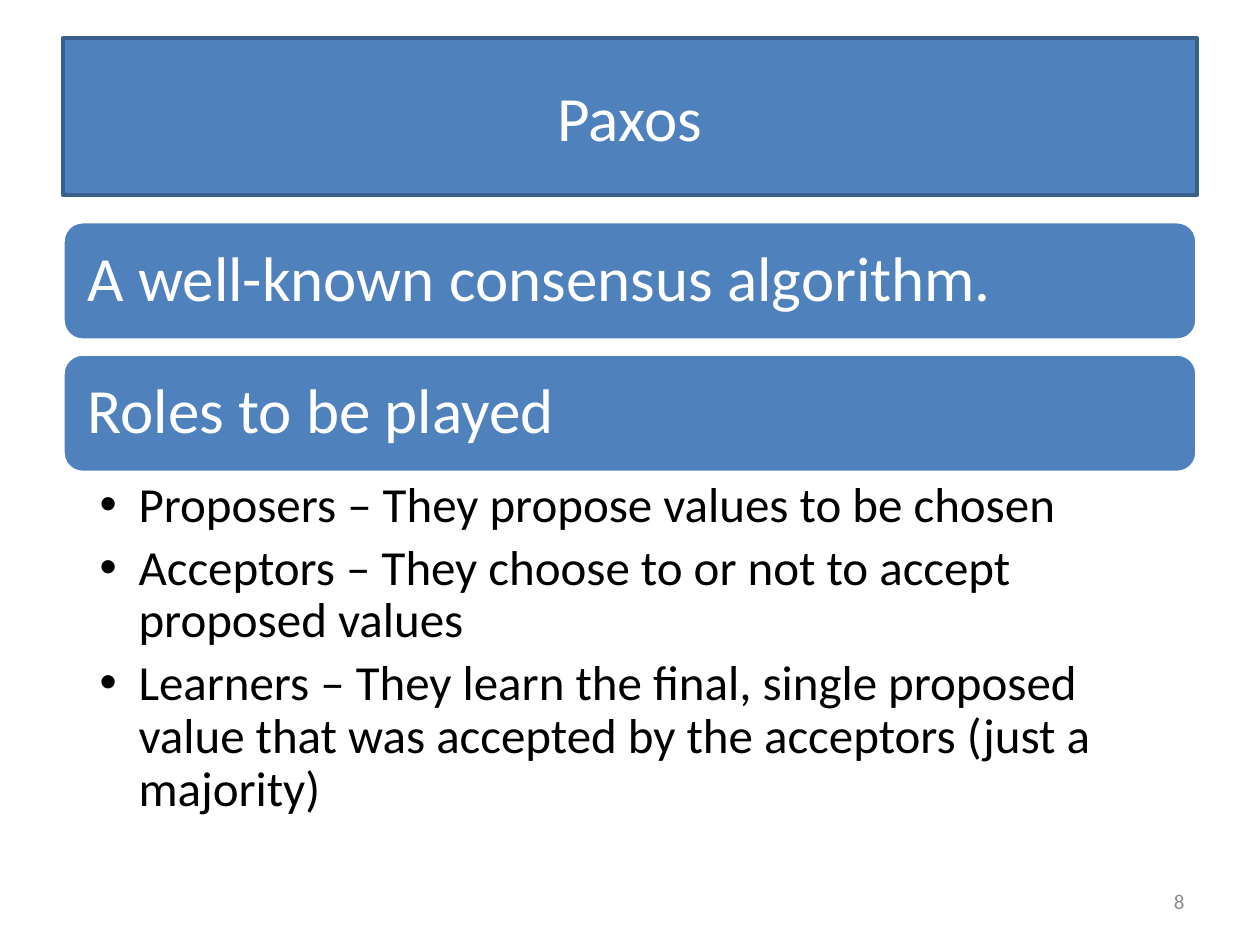
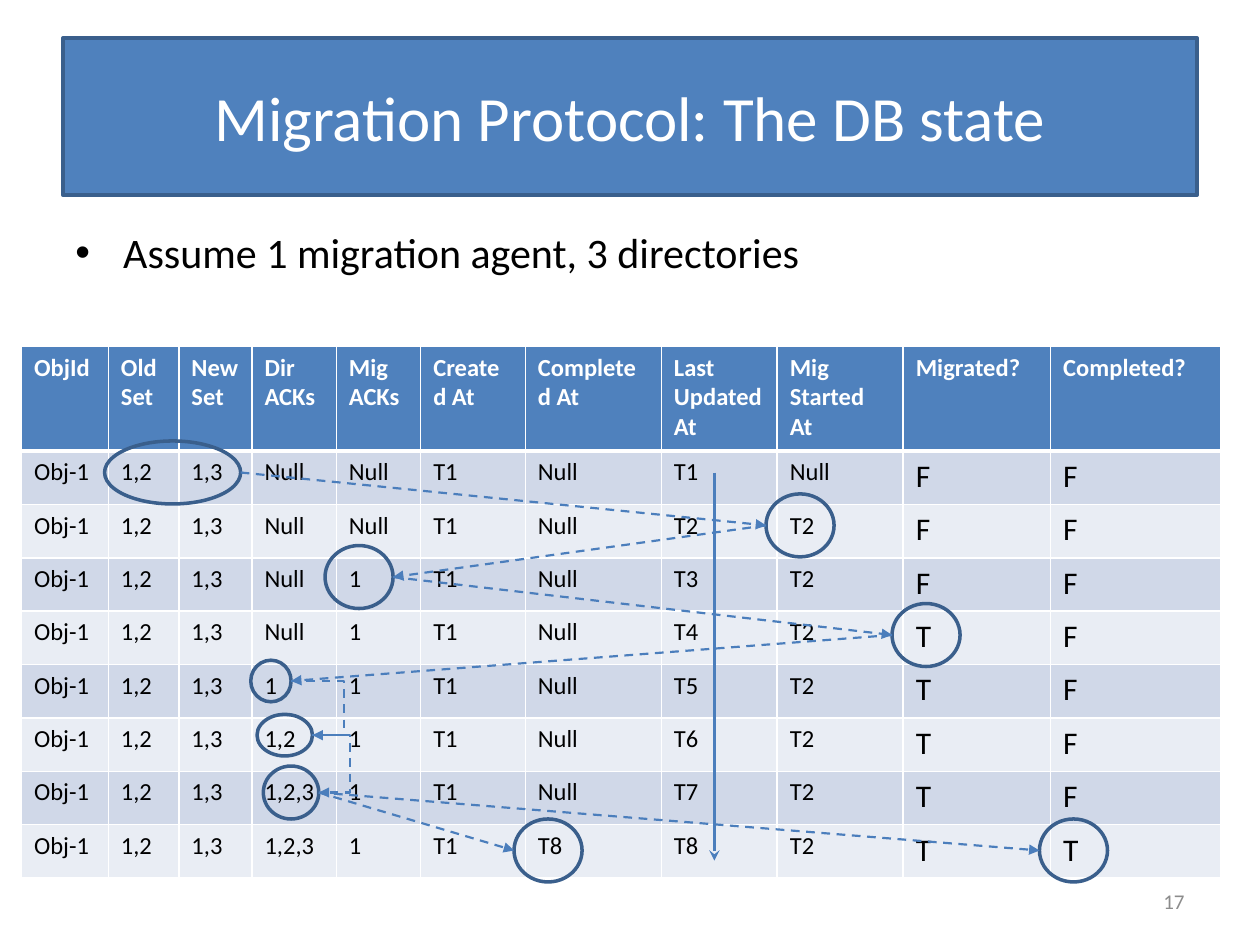
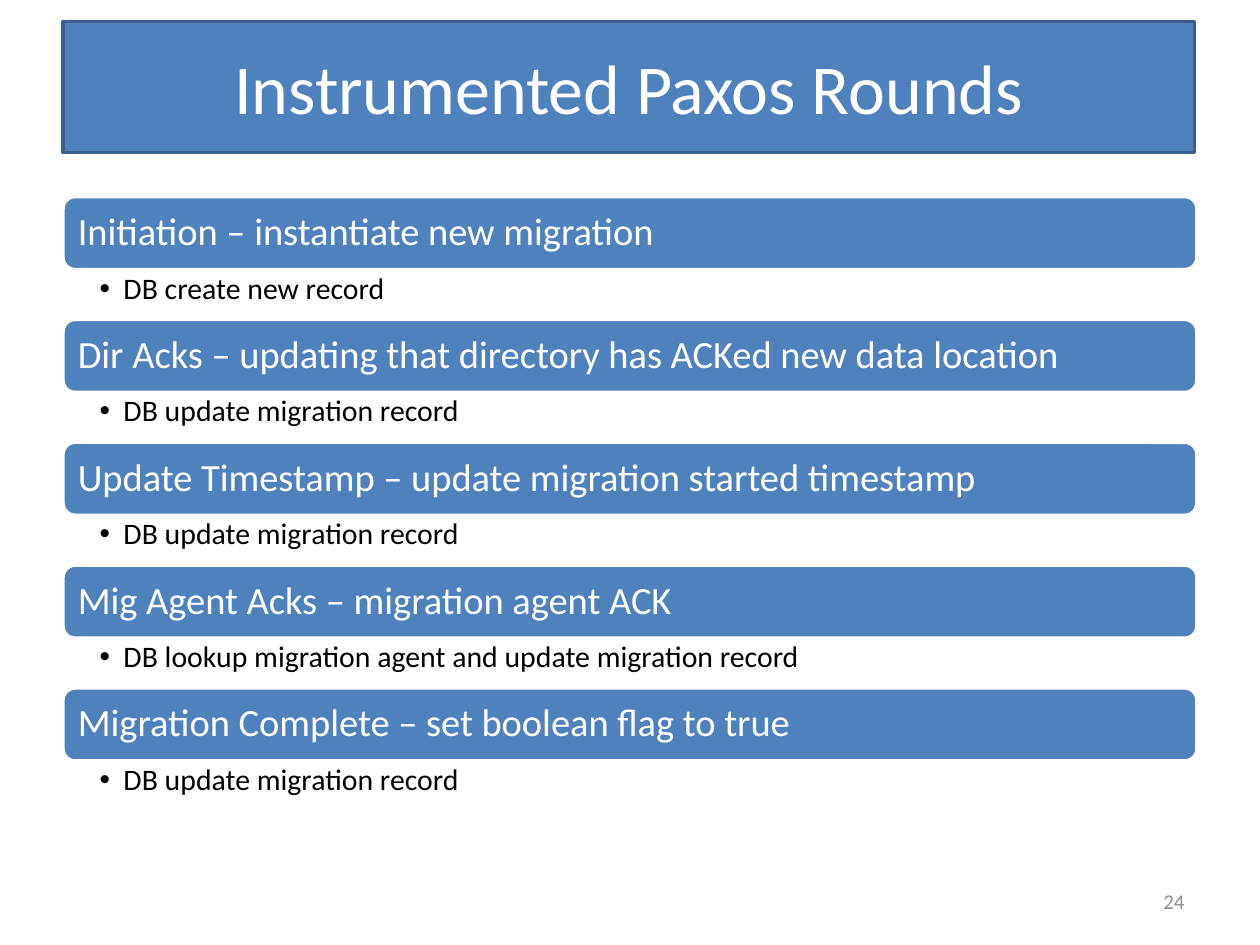
from lxml import etree
from pptx import Presentation
from pptx import util as u
from pptx.dml.color import RGBColor
from pptx.enum import dml, shapes, text
from pptx.oxml import ns

FONT = "Calibri"
BLUE = RGBColor(0x4F, 0x81, 0xBD)
OUTLINE = RGBColor(0x3A, 0x5F, 0x8C)
ARROW = RGBColor(0x4B, 0x7E, 0xBC)
WHITE = RGBColor(0xFF, 0xFF, 0xFF)
BLACK = RGBColor(0, 0, 0)
GRAY = RGBColor(0x8C, 0x8C, 0x8C)
BANDS = (RGBColor(0xD0, 0xD8, 0xE8), RGBColor(0xE9, 0xED, 0xF4))

LEFT, WIDTH = 0.5, 9
ROLES = (
    "Proposers – They propose values to be chosen",
    "Acceptors – They choose to or not to accept proposed values",
    "Learners – They learn the final, single proposed value that was "
    "accepted by the acceptors (just a majority)",
)
ROUNDS = (
    ("Initiation – instantiate new migration", "DB create new record"),
    ("Dir Acks – updating that directory has ACKed new data location",
     "DB update migration record"),
    ("Update Timestamp – update migration started timestamp",
     "DB update migration record"),
    ("Mig Agent Acks – migration agent ACK",
     "DB lookup migration agent and update migration record"),
    ("Migration Complete – set boolean flag to true",
     "DB update migration record"),
)
HEADERS = ("ObjId", "Old Set", "New Set", "Dir ACKs", "Mig ACKs", "Created At",
           "Completed At", "Last Updated At", "Mig Started At", "Migrated?",
           "Completed?")
COLUMN_WIDTHS = (0.69, 0.56, 0.58, 0.67, 0.67, 0.83, 1.08, 0.92, 1, 1.17, 1.35)
HEADER_HEIGHT, TABLE_HEIGHT = 0.83, 4.22
STATES = (
    ("Null", "Null", "Null", "T1", "Null", "F", "F"),
    ("Null", "Null", "Null", "T2", "T2", "F", "F"),
    ("Null", "1", "Null", "T3", "T2", "F", "F"),
    ("Null", "1", "Null", "T4", "T2", "T", "F"),
    ("1", "1", "Null", "T5", "T2", "T", "F"),
    ("1,2", "1", "Null", "T6", "T2", "T", "F"),
    ("1,2,3", "1", "Null", "T7", "T2", "T", "F"),
    ("1,2,3", "1", "T8", "T8", "T2", "T", "T"),
)
RINGS = {
    "sets": (0.83, 3.5, 1.08, 0.5),
    "started": (6.08, 3.92, 0.54, 0.5),
    "mig_ack": (2.58, 4.33, 0.54, 0.5),
    "migrated": (7.08, 4.79, 0.54, 0.5),
    "dir_1": (1.99, 5.24, 0.32, 0.33),
    "dir_2": (2.04, 5.67, 0.44, 0.33),
    "dir_3": (2.09, 6.08, 0.44, 0.42),
    "completed": (8.25, 6.5, 0.54, 0.5),
    "completed_at": (4.08, 6.5, 0.54, 0.5),
}


def inches(*lengths):
    """Convert several numbers to lengths."""
    return [u.Inches(length) for length in lengths]


def set_font(paragraph, size, color, bold=False):
    """Give a paragraph its font."""
    font = paragraph.font
    font.name, font.size, font.bold = FONT, u.Pt(size), bold
    font.color.rgb = color


def set_margins(frame, left, top, right, bottom):
    """Wrap a text frame and set its insets."""
    frame.word_wrap = True
    (frame.margin_left, frame.margin_top,
     frame.margin_right, frame.margin_bottom) = inches(left, top, right, bottom)


def add_box(slide, kind, at, fill, outline):
    """Add a preset shape with a 2 pt outline."""
    box = slide.shapes.add_shape(kind, *inches(*at))
    box.shadow.inherit = False
    if fill is None:
        box.fill.background()
    else:
        box.fill.solid()
        box.fill.fore_color.rgb = fill
    box.line.color.rgb = outline
    box.line.width = u.Pt(2)
    return box


def add_label(box, words, size, align, margin):
    """Write one white line, centred vertically, into a shape."""
    frame = box.text_frame
    set_margins(frame, *[margin] * 4)
    frame.vertical_anchor = text.MSO_ANCHOR.MIDDLE
    label = frame.paragraphs[0]
    label.text, label.alignment = words, align
    set_font(label, size, WHITE)
    return label


def add_title(slide, words, at=(LEFT, 0.3, WIDTH, 1.25), size=36):
    """Add the title band."""
    band = add_box(slide, shapes.MSO_SHAPE.RECTANGLE, at, BLUE, OUTLINE)
    add_label(band, words, size, text.PP_ALIGN.CENTER, 0.05)


def add_page_number(slide, number):
    """Add the slide number at the lower right."""
    frame = slide.shapes.add_textbox(*inches(7.17, 6.95, 2.33, 0.4)).text_frame
    set_margins(frame, 0.1, 0.05, 0.1, 0.05)
    frame.vertical_anchor = text.MSO_ANCHOR.MIDDLE
    page = frame.paragraphs[0]
    page.text, page.alignment = str(number), text.PP_ALIGN.RIGHT
    set_font(page, 12, GRAY)


def add_heading(slide, words, top, height, size, margin):
    """Add a rounded heading bar."""
    at = (LEFT, top, WIDTH, height)
    bar = add_box(slide, shapes.MSO_SHAPE.ROUNDED_RECTANGLE, at, BLUE, WHITE)
    label = add_label(bar, words, size, text.PP_ALIGN.LEFT, margin)
    label.line_spacing = 0.9


def add_bullets(slide, items, top, height, size, margins, indent, spacing=0.9):
    """Add a bulleted list."""
    frame = slide.shapes.add_textbox(*inches(LEFT, top, WIDTH, height)).text_frame
    set_margins(frame, *margins)
    for index, item in enumerate(items):
        bullet = frame.add_paragraph() if index else frame.paragraphs[0]
        bullet.text = item
        bullet.line_spacing = spacing
        bullet.space_after = u.Pt(size * 0.2)
        props = bullet._p.get_or_add_pPr()
        props.set("marL", str(u.Inches(indent)))
        props.set("indent", str(-u.Inches(indent)))
        face = etree.SubElement(props, ns.qn("a:buFont"))
        face.set("typeface", "Arial")
        etree.SubElement(props, ns.qn("a:buChar")).set("char", "•")
        set_font(bullet, size, BLACK)


def set_borders(cell, top, bottom):
    """Draw white cell borders, given the top and bottom widths in points."""
    props = cell._tc.get_or_add_tcPr()
    for side, width in (("L", 1), ("R", 1), ("T", top), ("B", bottom)):
        edge = etree.SubElement(props, ns.qn(f"a:ln{side}"), w=str(u.Pt(width)))
        fill = etree.SubElement(edge, ns.qn("a:solidFill"))
        etree.SubElement(fill, ns.qn("a:srgbClr"), val=str(WHITE))


def add_state_table(slide):
    """Add the table of migration record states."""
    rows = [HEADERS]
    for dir_acks, mig_acks, *rest in STATES:
        rows.append(("Obj-1", "1,2", "1,3", dir_acks, mig_acks, "T1", *rest))
    at = inches(0.17, 2.75, sum(COLUMN_WIDTHS), TABLE_HEIGHT)
    table = slide.shapes.add_table(len(rows), len(HEADERS), *at).table
    for column, width in zip(table.columns, COLUMN_WIDTHS):
        column.width = u.Inches(width)
    state_height = (TABLE_HEIGHT - HEADER_HEIGHT) / len(STATES)
    for r, values in enumerate(rows):
        header = r == 0
        table.rows[r].height = u.Inches(HEADER_HEIGHT if header else state_height)
        for c, value in enumerate(values):
            cell = table.cell(r, c)
            set_borders(cell, 3 if r == 1 else 1, 3 if header else 1)
            cell.fill.solid()
            cell.fill.fore_color.rgb = BLUE if header else BANDS[(r - 1) % 2]
            entry = cell.text_frame.paragraphs[0]
            entry.text = value
            is_flag = not header and c >= 9
            set_font(entry, 18 if is_flag else 14,
                     WHITE if header else BLACK, header)


def add_arrow(slide, start, end, bend=None, width=1.25, dashed=True,
              head="triangle"):
    """Add an arrow, bent at the given x position if there is one."""
    kinds = shapes.MSO_CONNECTOR
    kind = kinds.STRAIGHT if bend is None else kinds.ELBOW
    arrow = slide.shapes.add_connector(kind, *inches(*start, *end))
    arrow.line.color.rgb = ARROW
    arrow.line.width = u.Pt(width)
    if dashed:
        arrow.line.dash_style = dml.MSO_LINE.DASH
    props = arrow._element.spPr
    etree.SubElement(props.find(ns.qn("a:ln")), ns.qn("a:tailEnd"), type=head)
    etree.SubElement(props, ns.qn("a:effectLst"))
    if bend is not None:
        share = round((bend - start[0]) / (end[0] - start[0]) * 100000)
        guides = props.find(ns.qn("a:prstGeom")).find(ns.qn("a:avLst"))
        etree.SubElement(guides, ns.qn("a:gd"), name="adj1", fmla=f"val {share}")


def ring_side(name, right):
    """Return the middle of a ring's right or left side."""
    left, top, width, height = RINGS[name]
    return left + width * right, top + height / 2


def add_state_changes(slide):
    """Ring the changed values and join them in time order."""
    for at in RINGS.values():
        add_box(slide, shapes.MSO_SHAPE.OVAL, at, None, OUTLINE)
    add_arrow(slide, (5.67, 3.75), (5.67, 6.83), width=1.5, dashed=False,
              head="stealth")
    on_right = {"sets", "mig_ack", "dir_1", "dir_2", "dir_3"}
    for start, end, bend in (
        ("sets", "started", None),
        ("started", "mig_ack", None),
        ("mig_ack", "migrated", None),
        ("migrated", "dir_1", None),
        ("dir_1", "dir_2", 2.73),
        ("dir_2", "dir_3", 2.78),
        ("dir_3", "completed_at", None),
        ("dir_3", "completed", None),
    ):
        add_arrow(slide, ring_side(start, start in on_right),
                  ring_side(end, end in on_right), bend)


def build_paxos(slide):
    """Build the slide on Paxos roles."""
    add_heading(slide, "A well-known consensus algorithm.", 1.76, 0.94, 36, 0.15)
    add_heading(slide, "Roles to be played", 2.81, 0.94, 36, 0.15)
    add_bullets(slide, ROLES, 3.76, 2.93, 28, (0.29, 0.05, 0.28, 0.05), 0.31)
    add_title(slide, "Paxos")
    add_page_number(slide, 8)


def build_db_state(slide):
    """Build the slide on the database state."""
    add_bullets(slide, ["Assume 1 migration agent, 3 directories"], 1.75, 4.95,
                24, (0.1, 0.05, 0.1, 0.05), 0.38, 1.0)
    add_state_table(slide)
    add_state_changes(slide)
    add_title(slide, "Migration Protocol: The DB state")
    add_page_number(slide, 17)


def build_rounds(slide):
    """Build the slide on the instrumented rounds."""
    add_title(slide, "Instrumented Paxos Rounds", (LEFT, 0.17, 8.98, 1.04), 40)
    add_page_number(slide, 24)
    bar, detail = 0.58, 0.4
    for index, (heading, action) in enumerate(ROUNDS):
        top = 1.56 + index * 3.9 / 4
        add_heading(slide, heading, top, bar, 22, 0.09)
        add_bullets(slide, [action], top + bar, detail, 17,
                    (0.29, 0.03, 0.17, 0.03), 0.19)


def main():
    """Build and save the deck."""
    deck = Presentation()
    deck.slide_width, deck.slide_height = inches(10, 7.5)
    for build in (build_paxos, build_db_state, build_rounds):
        build(deck.slides.add_slide(deck.slide_layouts[6]))
    deck.save("out.pptx")


if __name__ == "__main__":
    main()
